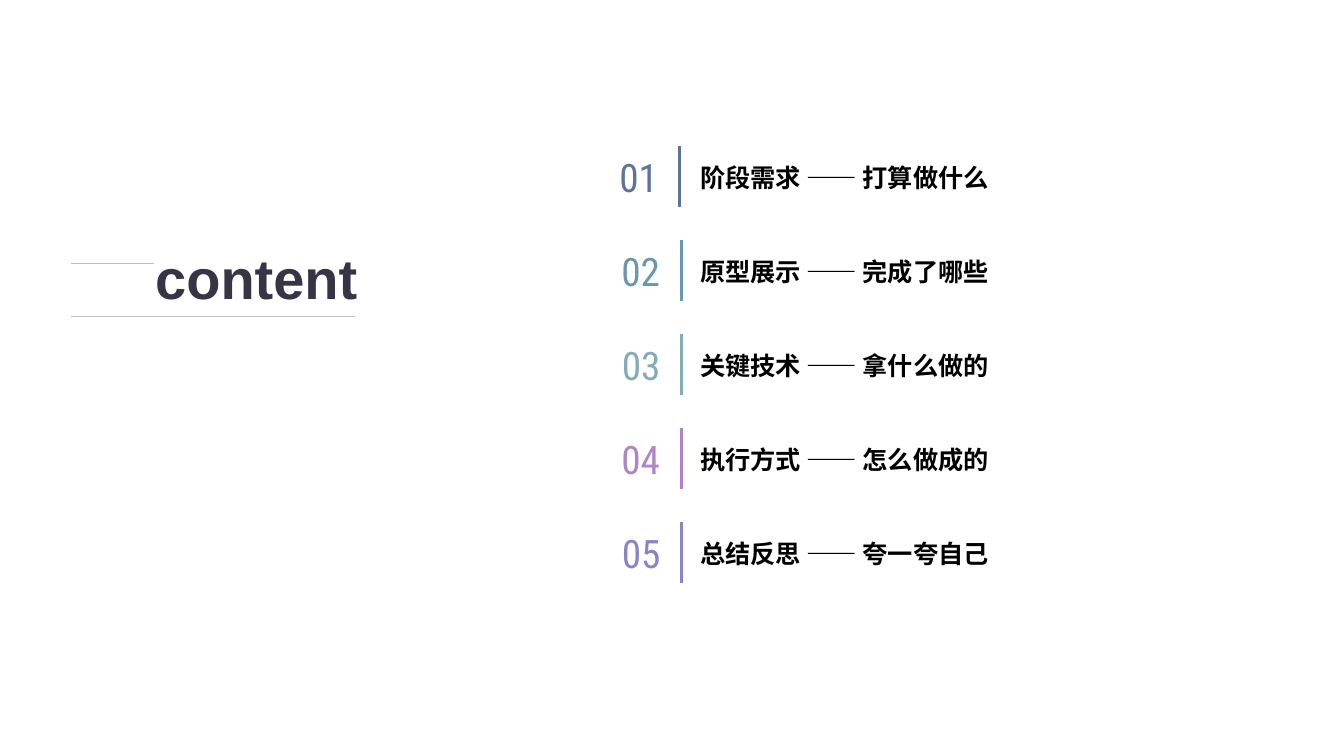
from pptx import Presentation
from pptx.dml.color import RGBColor
from pptx.enum.shapes import MSO_CONNECTOR
from pptx.enum.text import MSO_ANCHOR, MSO_AUTO_SIZE, PP_ALIGN
from pptx.util import Pt
from lxml.etree import SubElement
from pptx.oxml.ns import qn

BLACK = RGBColor(0, 0, 0)
DARK = RGBColor(0x37, 0x35, 0x45)
GREY = RGBColor(0xBF, 0xBF, 0xBF)
BLUE = RGBColor(0x5D, 0x73, 0x9A)
SKY = RGBColor(0x69, 0x97, 0xAF)
TEAL = RGBColor(0x84, 0xAC, 0xB6)
PINK = RGBColor(0xAD, 0x84, 0xC6)
VIOLET = RGBColor(0x87, 0x84, 0xC7)
HAN = "Noto Sans CJK SC"

# Content: topic, colour, font, number width, bar x
TITLE = "content"
TOPICS = [
    ("阶段需求 —— 打算做什么", BLUE, "Arial", 36.7, 485.1),
    ("原型展示 —— 完成了哪些", SKY, "Arial", 39.6, 486.5),
    ("关键技术 —— 拿什么做的", TEAL, "Arial", 40.3, 487),
    ("执行方式 —— 怎么做成的", PINK, "Arial", 39.6, 486.5),
    ("总结反思 —— 夸一夸自己", VIOLET, HAN, 40.3, 487),
]
TOP, STEP, BAR = 104.4, 67.15, 43.6
RULES = [(110.2, 50.4, 187.9), (50.4, 253.4, 226.1)]

deck = Presentation()
deck.slide_width, deck.slide_height = Pt(960), Pt(540)
slide = deck.slides.add_slide(deck.slide_layouts[5])


def add_line(x1, y1, x2, y2, color, width):
    line = slide.shapes.add_connector(
        MSO_CONNECTOR.STRAIGHT, Pt(x1), Pt(y1), Pt(x2), Pt(y2))
    line.line.color.rgb = color
    line.line.width = Pt(width)
    SubElement(line._element.spPr, qn("a:effectLst"))


def set_text(box, text, size, font, color, bold, anchor, align, inset):
    frame = box.text_frame
    frame.word_wrap = False
    frame.auto_size = MSO_AUTO_SIZE.NONE
    frame.vertical_anchor = anchor
    frame.margin_left = frame.margin_right = Pt(inset)
    frame.margin_top = frame.margin_bottom = Pt(inset / 2)
    para = frame.paragraphs[0]
    para.alignment = align
    run = para.add_run()
    run.text = text
    run.font.size, run.font.bold, run.font.name = Pt(size), bold, font
    run.font.color.rgb = color
    SubElement(run.font._element, qn("a:ea")).set("typeface", HAN)
    return para


def add_text(x, y, w, h, *style):
    box = slide.shapes.add_textbox(Pt(x), Pt(y), Pt(w), Pt(h))
    set_text(box, *style)


# Title between two thin rules
for x1, x2, y in RULES:
    add_line(x1, y, x2, y, GREY, 0.5)
title = slide.shapes.title
title.left, title.top = Pt(103.7), Pt(173.5)
title.width, title.height = Pt(162), Pt(54.7)
para = set_text(title, TITLE, 40, "Arial", DARK, True,
                MSO_ANCHOR.MIDDLE, PP_ALIGN.LEFT, 7.2)
para.line_spacing = 0.9

# Numbered topics
for i, (topic, color, font, width, bar) in enumerate(TOPICS):
    y = TOP + i * STEP
    add_text(437.8, y + 2.3, width, 38.9, f"{i + 1:02}", 28, "Roboto Condensed",
             color, False, MSO_ANCHOR.MIDDLE, PP_ALIGN.CENTER, 0)
    add_line(bar, y, bar, y + BAR, color, 2.25)
    add_text(493, y + 7, 283, 29.5, topic, 18, font,
             BLACK, True, MSO_ANCHOR.BOTTOM, PP_ALIGN.LEFT, 7.2)

deck.save("out.pptx")
